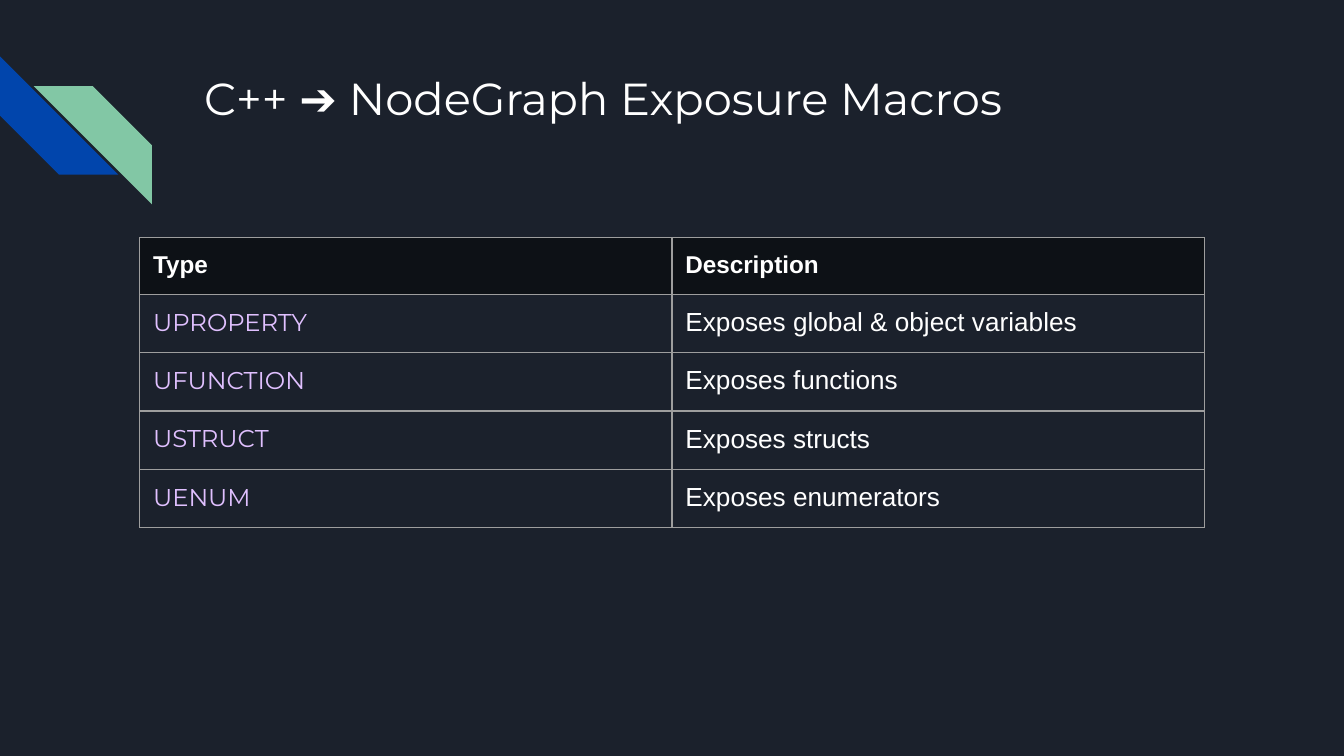
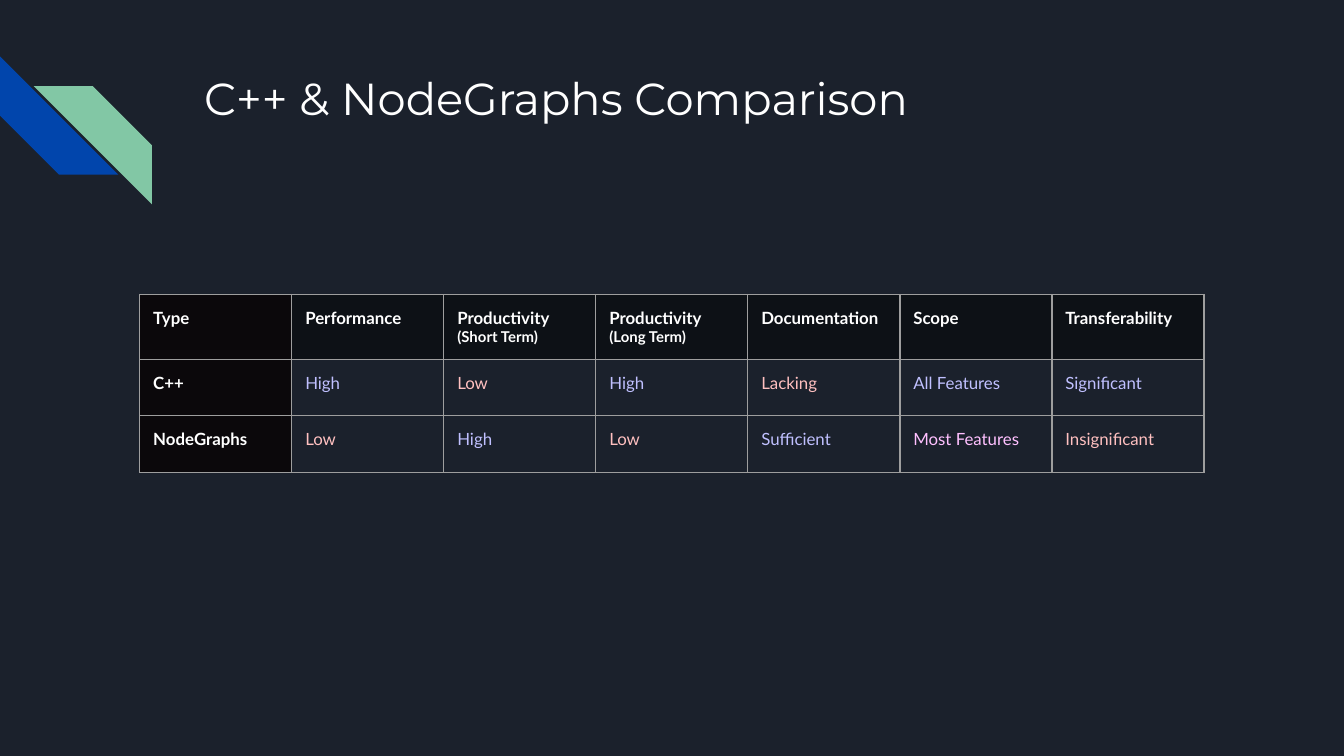
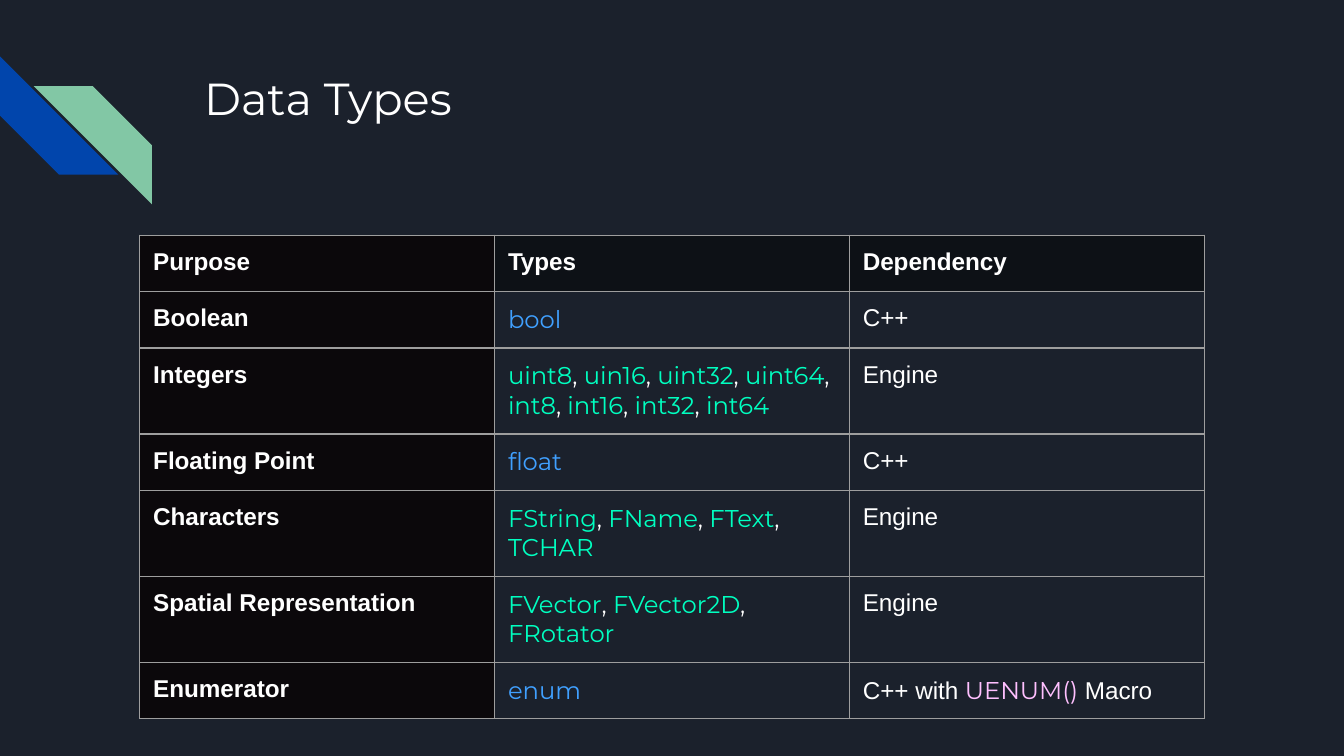
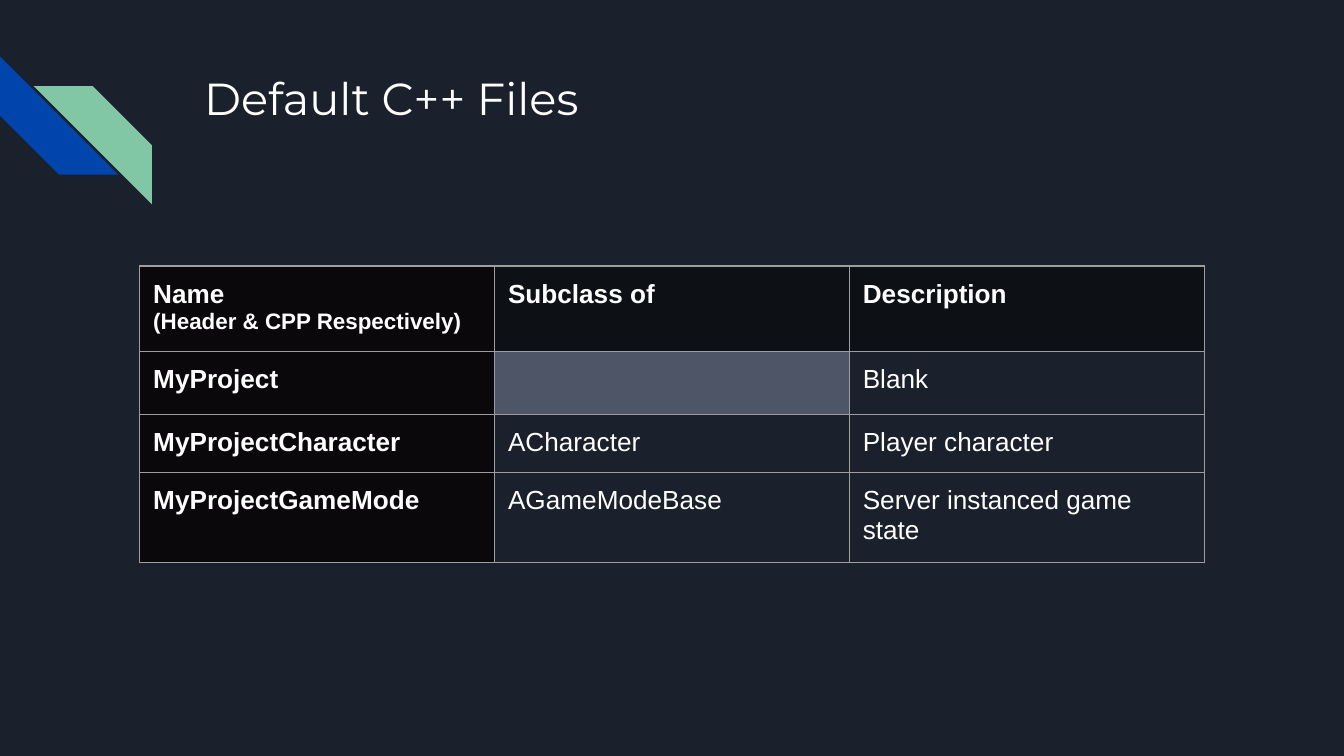
from collections import namedtuple

from pptx import Presentation
from pptx import util as u
from pptx.dml.color import RGBColor
from pptx.enum import shapes, text
from pptx.oxml import ns, xmlchemy

COLORS = {
    "background": "1B212C", "blue_stripe": "0145AC", "green_stripe": "82C7A5",
    "header": "0D1116", "row_label": "0B080B", "empty": "4E5567",
    "border": "9E9E9E", "white": "FFFFFF", "macro": "E0C0FF",
    "keyword": "40A0FF", "engine_type": "00FFC0",
    "good": "C0C0FF", "poor": "FFC0C0", "middling": "FFC0FF",
}
SLIDE_W = u.Inches(10)
SLIDE_H = SLIDE_W * 9 // 16
PADDING = u.Inches(0.1)
TABLE_LEFT, TABLE_WIDTH = 1.04, 7.92
ROW = 0.42        # one line of text
TALL_ROW = 0.64   # two lines of text

Style = namedtuple("Style", "size font color bold", defaults=("white", False))
TITLE = Style(24, "Montserrat")


def rgb(name):
    return RGBColor.from_string(COLORS[name])


def add_run(paragraph, words, style):
    run = paragraph.add_run()
    run.text = words
    run.font.size = u.Pt(style.size)
    run.font.name = style.font
    run.font.bold = style.bold
    run.font.color.rgb = rgb(style.color)


def pad(box):
    box.margin_left = box.margin_right = PADDING
    box.margin_top = box.margin_bottom = PADDING


# Corner ornament: two diagonal stripes
def add_stripe(slide, left, top, size, color):
    stripe = slide.shapes.add_shape(
        shapes.MSO_SHAPE.DIAGONAL_STRIPE, *map(u.Inches, (left, top, size, size)))
    stripe.shadow.inherit = False
    stripe.fill.solid()
    stripe.fill.fore_color.rgb = rgb(color)
    stripe.line.fill.background()
    return stripe


def add_ornament(slide, left, top, size):
    add_stripe(slide, left, top, size, "blue_stripe").rotation = 270
    green = add_stripe(slide, left + size / 4 + 0.03, top + size / 4,
                       size, "green_stripe")
    green._element.spPr.find(ns.qn("a:xfrm")).set("flipH", "1")


# Title
def add_title(slide, words, left, top, width, height):
    frame = slide.shapes.add_textbox(
        *map(u.Inches, (left, top, width, height))).text_frame
    frame.word_wrap = True
    frame.vertical_anchor = text.MSO_ANCHOR.TOP
    pad(frame)
    add_run(frame.paragraphs[0], words, TITLE)


# Table
def add_borders(cell):
    properties = cell._tc.get_or_add_tcPr()
    for position, side in enumerate(("lnL", "lnR", "lnT", "lnB")):
        line = xmlchemy.OxmlElement(f"a:{side}")
        line.set("w", str(u.Pt(0.75)))
        fill = xmlchemy.OxmlElement("a:solidFill")
        color = xmlchemy.OxmlElement("a:srgbClr")
        color.set("val", COLORS["border"])
        fill.append(color)
        line.append(fill)
        properties.insert(position, line)


def fill_cell(cell, paragraphs, fill):
    if fill:
        cell.fill.solid()
        cell.fill.fore_color.rgb = rgb(fill)
    else:
        cell.fill.background()
    add_borders(cell)
    if not paragraphs:
        return
    pad(cell)
    for index, runs in enumerate(paragraphs):
        frame = cell.text_frame
        paragraph = frame.add_paragraph() if index else frame.paragraphs[0]
        for words, style in runs:
            add_run(paragraph, words, style)


def cell_color(row, column, paragraphs, labelled):
    if not paragraphs:
        return "empty"
    if labelled and column == 0:
        return "row_label"
    return "header" if row == 0 else None


def add_grid(slide, top, heights, rows, labelled=True):
    """Equal columns; each cell is a list of paragraphs, each a list of runs."""
    columns = len(rows[0])
    table = slide.shapes.add_table(
        len(rows), columns,
        *map(u.Inches, (TABLE_LEFT, top, TABLE_WIDTH, sum(heights)))).table
    table.first_row = table.horz_banding = False
    for column in table.columns:
        column.width = u.Inches(TABLE_WIDTH / columns)
    for r, (height, row) in enumerate(zip(heights, rows)):
        table.rows[r].height = u.Inches(height)
        for c, paragraphs in enumerate(row):
            fill_cell(table.cell(r, c), paragraphs,
                      cell_color(r, c, paragraphs, labelled))


def line(words, style):
    """A cell with one run."""
    return [[(words, style)]]


def comma_list(names, style):
    """A cell of coloured names parted by white commas."""
    runs = []
    for name in names.split():
        if runs:
            runs.append((", ", style._replace(color="white")))
        runs.append((name, style))
    return [runs]


def new_slide(prs, title):
    slide = prs.slides.add_slide(prs.slide_layouts[6])
    add_ornament(slide, 0, 0.42, 0.88)
    add_title(slide, title, 1.42, 0.43, 7.7, 1)
    return slide


def macros_slide(prs):
    slide = new_slide(prs, "C++ ➔ NodeGraph Exposure Macros")
    head = Style(13, "Arial", bold=True)
    macro = Style(13, "Montserrat", "macro")
    body = Style(14, "Arial")
    uses = {
        "UPROPERTY": "Exposes global & object variables",
        "UFUNCTION": "Exposes functions",
        "USTRUCT": "Exposes structs",
        "UENUM": "Exposes enumerators",
    }
    rows = [[line("Type", head), line("Description", head)]]
    rows += [[line(name, macro), line(use, body)] for name, use in uses.items()]
    add_grid(slide, 1.77, [ROW] * len(rows), rows, labelled=False)


def comparison_slide(prs):
    slide = new_slide(prs, "C++ & NodeGraphs Comparison")
    head = Style(9, "Lato", bold=True)
    note = head._replace(size=8)
    criteria = [("Type",), ("Performance",), ("Productivity", "(Short Term)"),
                ("Productivity", "(Long Term)"), ("Documentation",),
                ("Scope",), ("Transferability",)]
    ratings = {
        "C++": [("High", "good"), ("Low", "poor"), ("High", "good"),
                ("Lacking", "poor"), ("All Features", "good"),
                ("Significant", "good")],
        "NodeGraphs": [("Low", "poor"), ("High", "good"), ("Low", "poor"),
                       ("Sufficient", "good"), ("Most Features", "middling"),
                       ("Insignificant", "poor")],
    }
    rows = [[[[pair] for pair in zip(words, (head, note))] for words in criteria]]
    for language, verdicts in ratings.items():
        rows.append([line(language, head)] + [
            line(words, Style(9, "Lato", color)) for words, color in verdicts])
    add_grid(slide, 2.19, [0.48, ROW, ROW], rows)


def data_types_slide(prs):
    slide = new_slide(prs, "Data Types")
    head = Style(13, "Arial", bold=True)
    body = Style(13, "Arial")
    keyword = Style(13, "Montserrat", "keyword")
    engine = Style(13, "Montserrat", "engine_type")
    macro = Style(13, "Montserrat", "middling")
    cpp = line("C++", body)
    from_engine = line("Engine", body)
    with_macro = [[("C++ with ", body), ("UENUM()", macro), (" Macro", body)]]
    kinds = [
        ("Boolean", "bool", keyword, cpp),
        ("Integers", "uint8 uin16 uint32 uint64 int8 int16 int32 int64",
         engine, from_engine),
        ("Floating Point", "float", keyword, cpp),
        ("Characters", "FString FName FText TCHAR", engine, from_engine),
        ("Spatial Representation", "FVector FVector2D FRotator",
         engine, from_engine),
        ("Enumerator", "enum", keyword, with_macro),
    ]
    rows = [[line(words, head) for words in ("Purpose", "Types", "Dependency")]]
    heights = [ROW]
    for purpose, names, style, dependency in kinds:
        rows.append([line(purpose, head), comma_list(names, style), dependency])
        heights.append(TALL_ROW if style == engine else ROW)
    add_grid(slide, 1.75, heights, rows)


def default_files_slide(prs):
    slide = new_slide(prs, "Default C++ Files")
    head = Style(14, "Arial", bold=True)
    body = Style(14, "Arial")
    name_head = [[("Name", head)],
                 [("(Header & CPP Respectively)", head._replace(size=12))]]
    files = [
        ("MyProject", None, "Blank"),
        ("MyProjectCharacter", "ACharacter", "Player character"),
        ("MyProjectGameMode", "AGameModeBase", "Server instanced game state"),
    ]
    rows = [[name_head, line("Subclass of", head), line("Description", head)]]
    for name, parent, description in files:
        rows.append([line(name, head), parent and line(parent, body),
                     line(description, body)])
    add_grid(slide, 1.98, [0.61, 0.47, ROW, TALL_ROW], rows)


def main():
    prs = Presentation()
    prs.slide_width, prs.slide_height = SLIDE_W, SLIDE_H
    backdrop = prs.slide_master.background.fill
    backdrop.solid()
    backdrop.fore_color.rgb = rgb("background")
    macros_slide(prs)
    comparison_slide(prs)
    data_types_slide(prs)
    default_files_slide(prs)
    prs.save("out.pptx")


if __name__ == "__main__":
    main()
